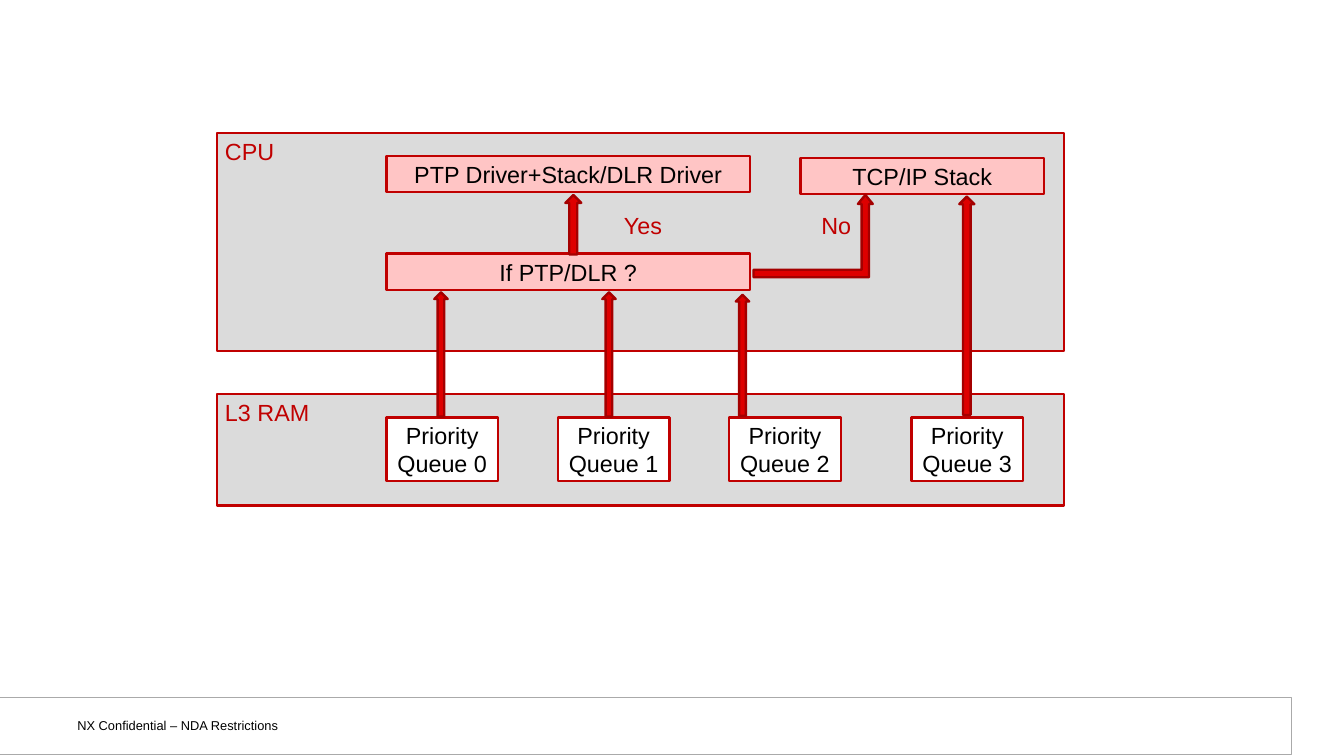
from dataclasses import dataclass

from pptx import Presentation
from pptx.dml.color import RGBColor
from pptx.enum.shapes import MSO_SHAPE as Preset
from pptx.enum.text import MSO_ANCHOR as Anchor, PP_ALIGN as Align
from pptx.util import Inches, Pt


@dataclass(frozen=True)
class Theme:
    font: str = "Arial"
    label_size: float = 20
    footer_size: float = 11
    outline_width: float = 2
    frame_width: float = 0.75
    red: str = "C00000"
    arrow_fill: str = "DE0000"
    arrow_line: str = "A40000"
    panel: str = "DBDBDB"
    pink: str = "FFC5C5"
    white: str = "FFFFFF"
    black: str = "000000"
    frame: str = "AAAAAA"


THEME = Theme()


def rgb(value):
    return RGBColor.from_string(value)


def place(box):
    return [Inches(length) for length in box]


def write(holder, words, color, size=THEME.label_size, align=Align.LEFT,
          anchor=Anchor.TOP, insets=(0.1, 0.05)):
    frame = holder.text_frame
    frame.word_wrap = True
    frame.vertical_anchor = anchor
    frame.margin_left = frame.margin_right = Inches(insets[0])
    frame.margin_top = frame.margin_bottom = Inches(insets[1])
    paragraph = frame.paragraphs[0]
    paragraph.alignment = align
    run = paragraph.add_run()
    run.text = words
    run.font.name = THEME.font
    run.font.size = Pt(size)
    run.font.color.rgb = rgb(color)


def add_block(slide, preset, box, fill, line, width=THEME.outline_width):
    block = slide.shapes.add_shape(preset, *place(box))
    block.shadow.inherit = False
    block.fill.solid()
    block.fill.fore_color.rgb = rgb(fill)
    block.line.color.rgb = rgb(line)
    block.line.width = Pt(width)
    return block


def add_panel(slide, words, box):
    panel = add_block(slide, Preset.RECTANGLE, box, THEME.panel, THEME.red)
    write(panel, words, THEME.red)


def add_step(slide, words, box, fill):
    step = add_block(slide, Preset.RECTANGLE, box, fill, THEME.red)
    write(step, words, THEME.black, align=Align.CENTER, anchor=Anchor.MIDDLE)


def add_arrow(slide, preset, box, adjustments):
    arrow = add_block(slide, preset, box, THEME.arrow_fill, THEME.arrow_line)
    for index, value in enumerate(adjustments):
        arrow.adjustments[index] = value


def add_label(slide, words, box, color, **style):
    write(slide.shapes.add_textbox(*place(box)), words, color, **style)


def add_footer(slide):
    add_block(slide, Preset.RECTANGLE, (-0.03, 8.3, 15.4, 0.68),
              THEME.white, THEME.frame, THEME.frame_width)
    add_label(slide, "NX Confidential – NDA Restrictions", (0.79, 8.48, 3.69, 0.31),
              THEME.black, size=THEME.footer_size, anchor=Anchor.MIDDLE,
              insets=(0.13, 0.07))


def main():
    deck = Presentation()
    deck.slide_width, deck.slide_height = Inches(16), Inches(9)
    slide = deck.slides.add_slide(deck.slide_layouts[6])

    add_footer(slide)
    add_panel(slide, "CPU", (2.58, 1.58, 10.09, 2.6))
    add_panel(slide, "L3 RAM", (2.58, 4.69, 10.09, 1.33))

    for words, left, top, width in (
        ("If PTP/DLR ?", 4.6, 3.02, 4.33),
        ("PTP Driver+Stack/DLR Driver", 4.6, 1.86, 4.33),
        ("TCP/IP Stack", 9.53, 1.88, 2.9),
    ):
        add_step(slide, words, (left, top, width, 0.43), THEME.pink)

    for number, left in enumerate((4.6, 6.64, 8.68, 10.85)):
        add_step(slide, f"Priority Queue {number}", (left, 4.97, 1.33, 0.76), THEME.white)

    for box in (
        (5.17, 3.48, 0.16, 1.48),
        (7.17, 3.48, 0.16, 1.48),
        (8.76, 3.51, 0.16, 1.44),
        (6.73, 2.32, 0.19, 0.71),
        (11.42, 2.34, 0.18, 2.6),
    ):
        add_arrow(slide, Preset.UP_ARROW, box, (0.5, 0.5))
    add_arrow(slide, Preset.BENT_UP_ARROW, (8.97, 2.32, 1.42, 0.98), (0.09, 0.09, 0.11))

    for answer, left in (("Yes", 7.33), ("No", 9.68)):
        add_label(slide, answer, (left, 2.46, 1.24, 0.43), THEME.red)

    deck.save("out.pptx")


if __name__ == "__main__":
    main()
